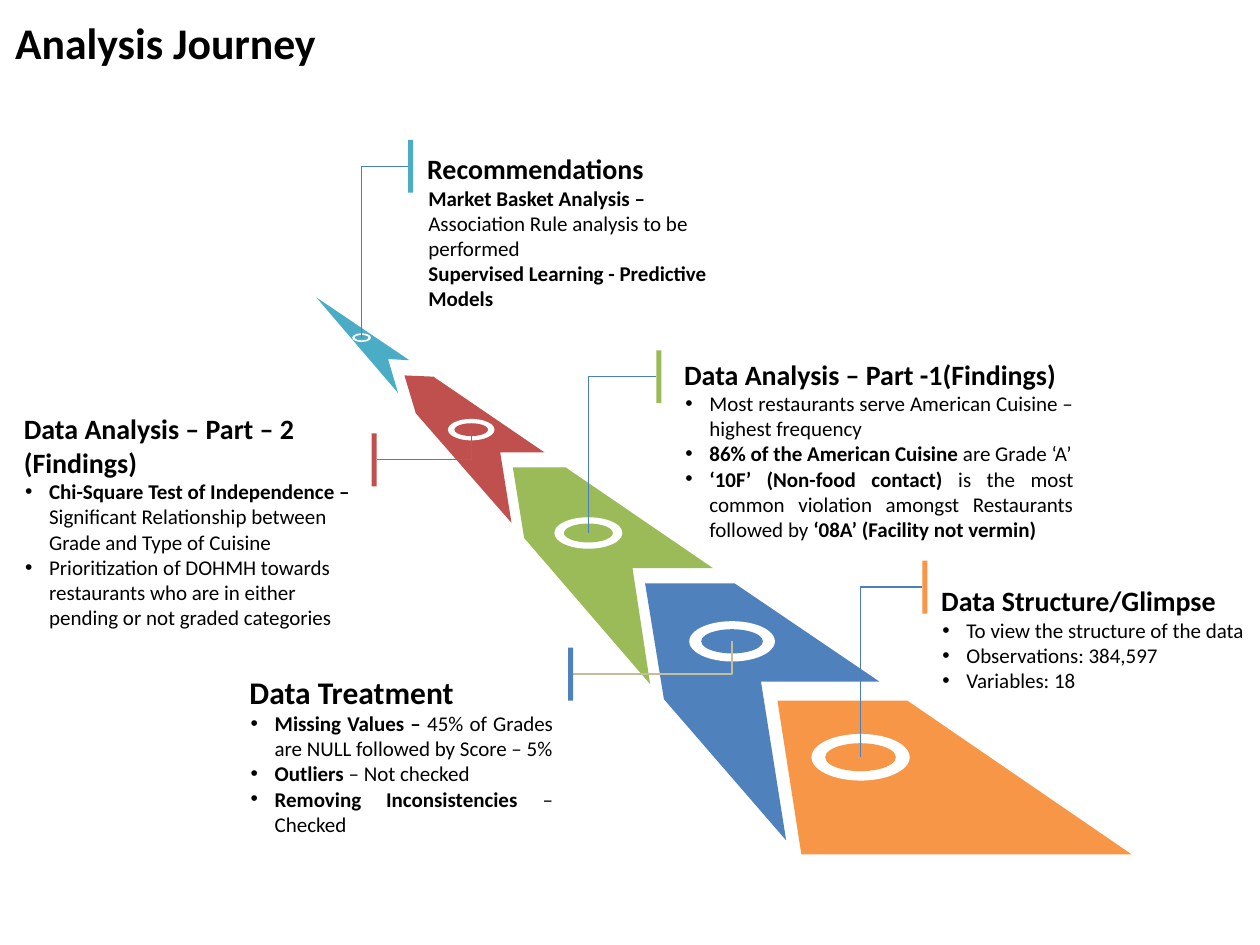
from dataclasses import dataclass

from lxml.etree import SubElement
from pptx import Presentation
from pptx.dml.color import RGBColor
from pptx.enum.shapes import MSO_CONNECTOR, MSO_SHAPE
from pptx.enum.text import MSO_ANCHOR, MSO_AUTO_SIZE, PP_ALIGN
from pptx.oxml.ns import qn
from pptx.util import Inches, Pt

ORANGE = RGBColor(0xF7, 0x96, 0x46)
BLUE = RGBColor(0x4F, 0x81, 0xBD)
GREEN = RGBColor(0x9B, 0xBB, 0x59)
RED = RGBColor(0xC0, 0x50, 0x4D)
TEAL = RGBColor(0x4B, 0xAC, 0xC6)
LINE_BLUE = RGBColor(0x4B, 0x7E, 0xBC)
LINE_TAN = RGBColor(0xC4, 0xBD, 0x97)
WHITE = RGBColor(0xFF, 0xFF, 0xFF)
BLACK = RGBColor(0, 0, 0)

FONT = "Calibri"
BAR_WIDTH, BAR_HEIGHT = 0.04, 0.42
BODY_OVERLAP = 0.1
INDENT = Inches(0.19)


@dataclass
class Step:
    """One stage: lengths in inches, arrow points relative to arrow_at."""
    color: RGBColor
    arrow_at: tuple
    arrow_points: list
    ring_center: tuple
    ring_size: tuple
    bar_at: tuple
    heading: str
    heading_box: tuple
    body_size: tuple
    paragraphs: list  # each paragraph is a list of (text, bold) runs
    heading_size: int = 16
    alignment: PP_ALIGN = PP_ALIGN.JUSTIFY
    bulleted: bool = True
    line_color: RGBColor = LINE_BLUE


STEPS = [
    Step(ORANGE, (6.17, 5.56), [(0, 0), (1.03, 0), (2.81, 1.22), (0.19, 1.22)],
         (6.83, 6.01), (0.78, 0.37), (7.32, 4.45),
         "Data Structure/Glimpse", (7.47, 4.54, 2.41, 0.41), (2.4, 0.78),
         [[("To view the structure of the data", False)],
          [("Observations: 384,597", False)],
          [("Variables: 18", False)]]),
    Step(BLUE, (5.12, 4.63),
         [(0, 0), (0.71, 0), (1.86, 0.78), (0.92, 0.78), (1.12, 2.04), (0.15, 0.92)],
         (5.81, 5.09), (0.68, 0.32), (4.51, 5.14),
         "Data Treatment", (1.98, 5.24, 2.41, 0.45), (2.4, 1.23),
         [[("Missing Values –", True),
           (" 45% of Grades are NULL followed by Score – 5%", False)],
          [("Outliers", True), (" – Not checked", False)],
          [("Removing Inconsistencies", True), (" –Checked", False)]],
         heading_size=18, line_color=LINE_TAN),
    Step(GREEN, (4.07, 3.71),
         [(0, 0), (0.42, 0), (1.59, 0.8), (0.95, 0.8), (1.09, 1.72), (0.09, 0.56)],
         (4.67, 4.23), (0.54, 0.25), (5.21, 2.78),
         "Data Analysis – Part -1(Findings)", (5.43, 2.78, 3.09, 0.37), (3.08, 1.45),
         [[("Most restaurants serve American Cuisine – highest frequency", False)],
          [("86% of the American Cuisine", True), (" are Grade ‘A’", False)],
          [("‘10F’ (Non-food contact)", True),
           (" is the most common violation amongst Restaurants followed by ", False),
           ("‘08A’ (Facility not vermin)", True)]]),
    Step(RED, (3.21, 2.98),
         [(0, 0), (0.23, 0.01), (1.11, 0.61), (0.76, 0.61), (0.85, 1.17), (0.09, 0.3)],
         (3.74, 3.41), (0.37, 0.17), (2.95, 3.44),
         "Data Analysis – Part – 2 (Findings)", (0.19, 3.21, 2.8, 0.64), (2.66, 1.31),
         [[("Chi-Square Test of Independence – ", True),
           ("Significant Relationship between Grade and Type of Cuisine", False)],
          [("Prioritization of DOHMH towards restaurants who are in either "
            "pending or not graded categories", False)]],
         alignment=PP_ALIGN.LEFT),
    Step(TEAL, (2.51, 2.36), [(0, 0), (0.74, 0.5), (0.57, 0.49), (0.65, 0.76)],
         (2.87, 2.68), (0.15, 0.07), (3.24, 1.11),
         "Recommendations", (3.39, 1.11, 2.41, 0.41), (2.4, 1.11),
         [[("Market Basket Analysis – ", True),
           ("Association Rule analysis to be performed", False)],
          [("Supervised Learning - Predictive Models", True)]],
         alignment=PP_ALIGN.LEFT, bulleted=False),
]


def fill_plain(shape, color):
    shape.shadow.inherit = False
    shape.fill.solid()
    shape.fill.fore_color.rgb = color
    shape.line.fill.background()


def format_font(font, size, bold):
    font.name = FONT
    font.size = Pt(size)
    font.bold = bold
    font.color.rgb = BLACK


def add_title(slide, text, left, top, width, height):
    title = slide.shapes.title
    title.left, title.top = Inches(left), Inches(top)
    title.width, title.height = Inches(width), Inches(height)
    title.text_frame.text = text
    title.text_frame.vertical_anchor = MSO_ANCHOR.MIDDLE
    paragraph = title.text_frame.paragraphs[0]
    paragraph.alignment = PP_ALIGN.LEFT
    format_font(paragraph.runs[0].font, 25, True)


def add_arrow(slide, color, left, top, points):
    corners = [(Inches(left + x), Inches(top + y)) for x, y in points]
    builder = slide.shapes.build_freeform(*corners[0])
    builder.add_line_segments(corners[1:], close=True)
    fill_plain(builder.convert_to_shape(), color)


def add_ring(slide, color, center, size):
    """White oval with a smaller oval in the arrow colour inside it."""
    for width_share, height_share, fill in ((1, 1, WHITE), (0.72, 0.6, color)):
        width, height = size[0] * width_share, size[1] * height_share
        oval = slide.shapes.add_shape(
            MSO_SHAPE.OVAL, Inches(center[0] - width / 2),
            Inches(center[1] - height / 2), Inches(width), Inches(height))
        fill_plain(oval, fill)


def add_text_box(slide, left, top, width, height, anchor):
    box = slide.shapes.add_textbox(
        Inches(left), Inches(top), Inches(width), Inches(height))
    frame = box.text_frame
    frame.word_wrap = True
    frame.auto_size = MSO_AUTO_SIZE.SHAPE_TO_FIT_TEXT
    frame.vertical_anchor = anchor
    frame.margin_left = frame.margin_right = 0
    return frame


def add_bullet(paragraph):
    properties = paragraph._p.get_or_add_pPr()
    properties.set("marL", str(INDENT))
    properties.set("indent", str(-INDENT))
    SubElement(properties, qn("a:buFont")).set("typeface", "Arial")
    SubElement(properties, qn("a:buChar")).set("char", "•")


def add_callout_text(slide, step):
    left, top, width, height = step.heading_box
    heading = add_text_box(slide, left, top, width, height, MSO_ANCHOR.BOTTOM)
    heading.text = step.heading
    format_font(heading.paragraphs[0].runs[0].font, step.heading_size, True)

    body = add_text_box(slide, left + 0.01, top + height - BODY_OVERLAP,
                        *step.body_size, MSO_ANCHOR.TOP)
    for index, runs in enumerate(step.paragraphs):
        paragraph = body.add_paragraph() if index else body.paragraphs[0]
        paragraph.alignment = step.alignment
        if step.bulleted:
            add_bullet(paragraph)
        for text, bold in runs:
            run = paragraph.add_run()
            run.text = text
            format_font(run.font, 12, bold)


def add_callout_line(slide, step):
    """Coloured bar, and an elbow line from its middle to the ring."""
    left, top = step.bar_at
    ring_x, ring_y = step.ring_center
    start_x = left if ring_x < left else left + BAR_WIDTH
    connector = slide.shapes.add_connector(
        MSO_CONNECTOR.ELBOW, Inches(start_x), Inches(top + BAR_HEIGHT / 2),
        Inches(ring_x), Inches(ring_y))
    connector.line.color.rgb = step.line_color
    connector.line.width = Pt(0.75)
    properties = connector._element.spPr
    properties.find(qn("a:prstGeom")).set("prst", "bentConnector2")
    SubElement(properties, qn("a:effectLst"))

    bar = slide.shapes.add_shape(MSO_SHAPE.RECTANGLE, Inches(left), Inches(top),
                                 Inches(BAR_WIDTH), Inches(BAR_HEIGHT))
    fill_plain(bar, step.color)


def main():
    presentation = Presentation()
    presentation.slide_width, presentation.slide_height = Inches(10), Inches(7.5)
    slide = presentation.slides.add_slide(presentation.slide_layouts[5])
    add_title(slide, "Analysis Journey", 0.02, 0.02, 9.89, 0.62)
    for step in STEPS:
        add_arrow(slide, step.color, *step.arrow_at, step.arrow_points)
        add_ring(slide, step.color, step.ring_center, step.ring_size)
    for step in STEPS:
        add_callout_text(slide, step)
        add_callout_line(slide, step)
    presentation.save("out.pptx")


if __name__ == "__main__":
    main()
